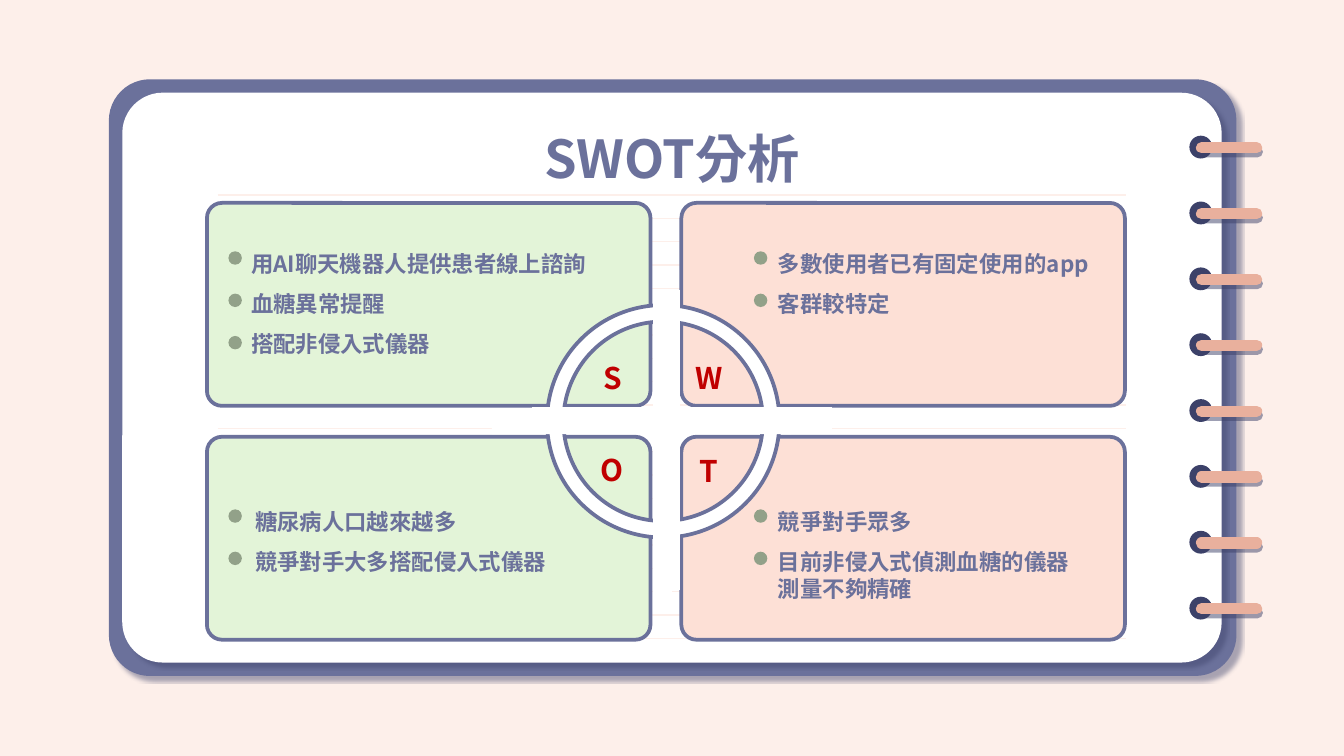
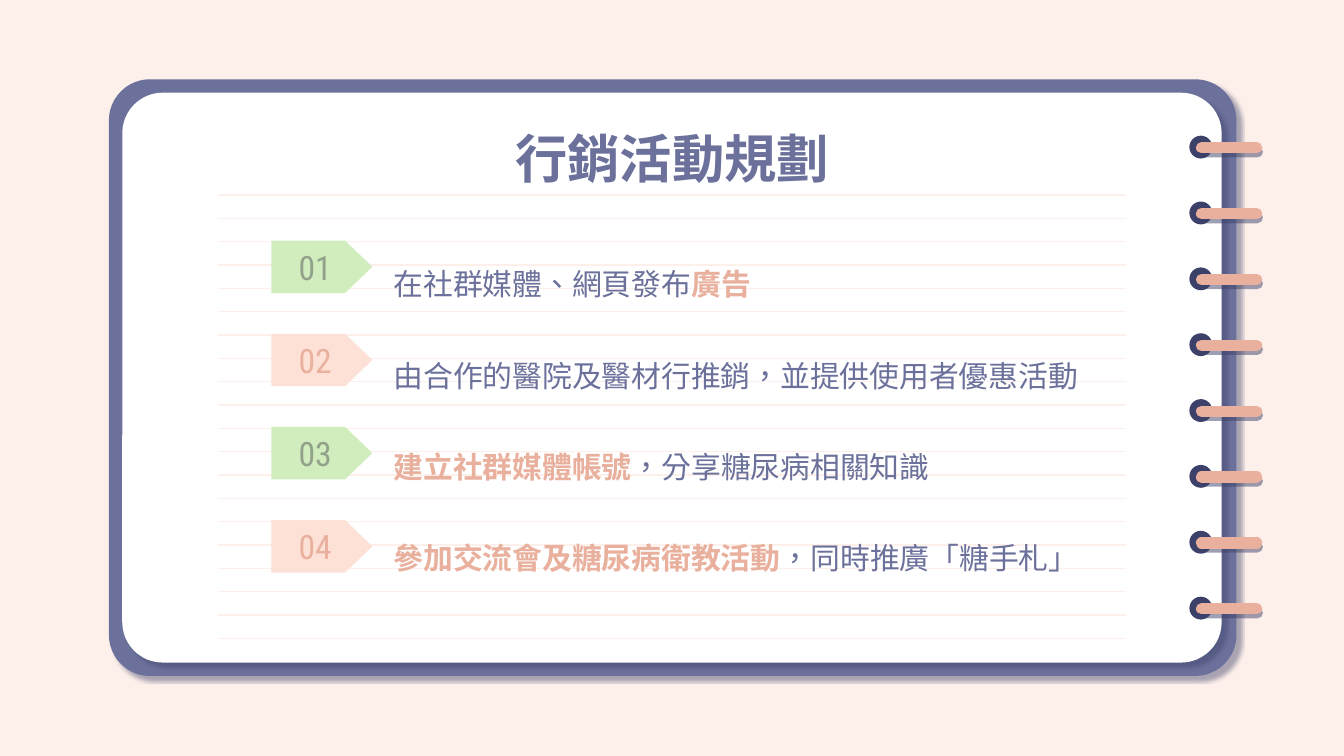
from lxml.etree import SubElement
from pptx import Presentation
from pptx.dml.color import RGBColor
from pptx.enum.shapes import MSO_CONNECTOR, MSO_SHAPE as SHAPE
from pptx.enum.text import MSO_ANCHOR as ANCHOR, MSO_AUTO_SIZE as AUTO, PP_ALIGN as ALIGN
from pptx.oxml.ns import qn
from pptx.util import Inches, Pt

SANS, CONDENSED = "Noto Sans CJK SC", "Roboto Condensed"
CREAM, WHITE, PURPLE, NAVY = "FDEFEA", "FFFFFF", "6B719B", "3C4169"
CORAL, PINK, MINT, GREEN = "E9B09D", "FDE0D6", "E3F4D8", "D1EDBE"
SAGE, RED = "92A189", "C00000"

# Shadow: opacity %, blur pt, distance pt, direction in degrees
PAGE_SHADOW = (44, 1.1, 4.5, 44)
RING_SHADOW = (50, 0, 2.2, 80)

# column, row, fill, letter, letter position, text left and width, dot left, points
SWOT = [
    (0, 0, MINT, "S", (4.39, 2.63), 1.77, 3.07, 1.7,
     ["用AI聊天機器人提供患者線上諮詢", "血糖異常提醒", "搭配非侵入式儀器"]),
    (1, 0, PINK, "W", (5.08, 2.63), 5.69, 2.59, 5.61,
     ["多數使用者已有固定使用的app", "客群較特定"]),
    (0, 1, MINT, "O", (4.37, 3.31), 1.8, 2.43, 1.7,
     ["糖尿病人口越來越多", "競爭對手大多搭配侵入式儀器"]),
    (1, 1, PINK, "T", (5.11, 3.32), 5.69, 2.42, 5.61,
     ["競爭對手眾多", "目前非侵入式偵測血糖的儀器"]),
]
THREAT_TAIL = "測量不夠精確"
CARD_LEFT, CARD_TOP, CARD_W, CARD_H = 1.54, 1.51, 3.3, 1.51
CARD_DX, CARD_DY = 3.53, 1.74
TEXT_TOPS = (1.71, 3.63)
# White bands that cut the ring into quarters
BANDS = [(3.96, 3.03, 2.23, 0.19), (3.66, 3.09, 2.23, 0.14),
         (4.86, 2.22, 0.14, 2.23), (4.92, 2.16, 0.14, 2.23)]

# Each step is a list of (text, highlighted)
STEPS = [
    [("在社群媒體、網頁發布", False), ("廣告", True)],
    [("由合作的醫院及醫材行推銷，並提供使用者優惠活動", False)],
    [("建立社群媒體帳號", True), ("，分享糖尿病相關知識", False)],
    [("參加交流會及糖尿病衛教活動", True), ("，同時推廣「糖手札」", False)],
]
TAG_STYLES = [(GREEN, SAGE), (PINK, CORAL)]


def rgb(color):
    return RGBColor.from_string(color)


def set_shadow(spPr, shadow=None):
    effects = spPr.find(qn("a:effectLst"))
    if effects is None:
        effects = SubElement(spPr, qn("a:effectLst"))
    if shadow:
        alpha, blur, dist, angle = shadow
        outer = SubElement(effects, qn("a:outerShdw"), blurRad=str(Pt(blur)),
                           dist=str(Pt(dist)), dir=str(angle * 60000),
                           algn="bl", rotWithShape="0")
        clr = SubElement(outer, qn("a:srgbClr"), val=NAVY)
        SubElement(clr, qn("a:alpha"), val=str(alpha * 1000))


def add_shape(slide, kind, box, fill, line=None, adj=None, shadow=None):
    sp = slide.shapes.add_shape(kind, *map(Inches, box))
    sp.fill.solid()
    sp.fill.fore_color.rgb = rgb(fill)
    if line:
        sp.line.color.rgb = rgb(line)
        sp.line.width = Pt(2)
    else:
        sp.line.fill.background()
    if adj is not None:
        sp.adjustments[0] = adj
    sp.shadow.inherit = False
    set_shadow(sp.element.spPr, shadow)
    return sp


def add_line(slide, x1, x2, y, color, width, shadow=None, rounded=False):
    line = slide.shapes.add_connector(
        MSO_CONNECTOR.STRAIGHT, *map(Inches, (x1, y, x2, y)))
    line.line.color.rgb = rgb(color)
    line.line.width = Pt(width)
    if rounded:
        line.element.spPr.find(qn("a:ln")).set("cap", "rnd")
    set_shadow(line.element.spPr, shadow)


def style(p, size, color, bold=False, font=SANS, align=None, spacing=None):
    p.font.name, p.font.size, p.font.bold = font, Pt(size), bold
    p.font.color.rgb = rgb(color)
    p.alignment = align
    p.line_spacing = spacing
    props = p.font._element
    props.set("lang", "zh-TW")
    ea = SubElement(props, qn("a:ea"), typeface=font)
    props.find(qn("a:latin")).addnext(ea)


def center_frame(tf):
    tf.vertical_anchor = ANCHOR.MIDDLE
    tf.margin_left = tf.margin_right = tf.margin_top = tf.margin_bottom = Inches(0.1)


def add_text(slide, box):
    tf = slide.shapes.add_textbox(*map(Inches, box)).text_frame
    tf.word_wrap = True
    tf.auto_size = AUTO.SHAPE_TO_FIT_TEXT
    return tf


def add_run(p, text):
    r = p.add_run()
    r.text = text
    r.font._element.set("lang", "zh-TW")
    return r


def paragraphs(tf, count):
    return [tf.paragraphs[0]] + [tf.add_paragraph() for _ in range(count - 1)]


def add_notebook_slide(prs, title):
    """Add a title-only slide with the ruled notebook page and its rings."""
    slide = prs.slides.add_slide(prs.slide_layouts[5])
    slide.background.fill.solid()
    slide.background.fill.fore_color.rgb = rgb(CREAM)
    add_shape(slide, SHAPE.ROUNDED_RECTANGLE, (0.81, 0.59, 8.39, 4.44), PURPLE,
              adj=0.069, shadow=PAGE_SHADOW)
    add_shape(slide, SHAPE.ROUNDED_RECTANGLE, (0.91, 0.69, 8.18, 4.24), WHITE,
              adj=0.071, shadow=PAGE_SHADOW)
    for i in range(20):
        add_line(slide, 1.62, 8.38, 1.45 + i * 3.3 / 19, CREAM, 0.75)
    for i in range(8):
        y = 1.01 + i * 0.49
        add_shape(slide, SHAPE.OVAL, (8.85, y, 0.17, 0.17), NAVY)
        add_line(slide, 9.35, 8.94, y + 0.09, CORAL, 6, RING_SHADOW, rounded=True)

    sp = slide.shapes.title
    sp.left, sp.top, sp.width, sp.height = map(Inches, (1.77, 0.94, 6.46, 0.46))
    tf = sp.text_frame
    add_run(tf.paragraphs[0], title)
    tf.word_wrap = True
    tf.auto_size = AUTO.NONE
    center_frame(tf)
    style(tf.paragraphs[0], 28, PURPLE, bold=True, align=ALIGN.CENTER)
    sp.element.getparent().append(sp.element)  # bring in front of the page
    return slide


def build_swot(prs):
    slide = add_notebook_slide(prs, "SWOT分析")
    for col, row, fill, letter, _, left, width, dot_left, points in SWOT:
        add_shape(slide, SHAPE.ROUNDED_RECTANGLE,
                  (CARD_LEFT + col * CARD_DX, CARD_TOP + row * CARD_DY, CARD_W, CARD_H),
                  fill, line=PURPLE, adj=0.074)
        top = TEXT_TOPS[row]
        lines = [(text, 1.5) for text in points]
        if letter == "T":
            lines.append((THREAT_TAIL, None))
        tf = add_text(slide, (left, top, width, 0.07 + 0.3 * len(lines)))
        for p, (text, spacing) in zip(paragraphs(tf, len(lines)), lines):
            add_run(p, text)
            style(p, 12, PURPLE, bold=True, spacing=spacing)
        for i in range(len(points)):
            add_shape(slide, SHAPE.OVAL,
                      (dot_left, top + 0.16 + i * 0.315, 0.1, 0.1), SAGE)

    add_shape(slide, SHAPE.DONUT, (4.07, 2.27, 1.73, 1.73), WHITE,
              line=PURPLE, adj=0.071)
    for _, _, _, letter, (x, y), *_ in SWOT:
        p = add_text(slide, (x, y, 0.3, 0.37)).paragraphs[0]
        add_run(p, letter)
        style(p, 16, RED, bold=True)
    for band in BANDS:
        add_shape(slide, SHAPE.RECTANGLE, band, WHITE)


def build_marketing(prs):
    slide = add_notebook_slide(prs, "行銷活動規劃")
    tf = add_text(slide, (2.83, 1.53, 5.4, 2.72))
    for p, step in zip(paragraphs(tf, len(STEPS)), STEPS):
        style(p, 16, PURPLE, spacing=2.5)
        p.space_after = Pt(1)
        for text, highlighted in step:
            r = add_run(p, text)
            if highlighted:
                r.font.bold = True
                r.font.color.rgb = rgb(CORAL)
    for i in range(len(STEPS)):
        fill, color = TAG_STYLES[i % 2]
        sp = add_shape(slide, SHAPE.PENTAGON, (2.02, 1.79 + i * 2.08 / 3, 0.75, 0.39),
                       fill, adj=0.518)
        center_frame(sp.text_frame)
        p = sp.text_frame.paragraphs[0]
        add_run(p, f"{i + 1:02}")
        style(p, 18, color, font=CONDENSED, align=ALIGN.CENTER)


def main():
    prs = Presentation()
    prs.slide_width = Inches(10)
    prs.slide_height = prs.slide_width * 9 // 16
    build_swot(prs)
    build_marketing(prs)
    prs.save("out.pptx")


if __name__ == "__main__":
    main()
